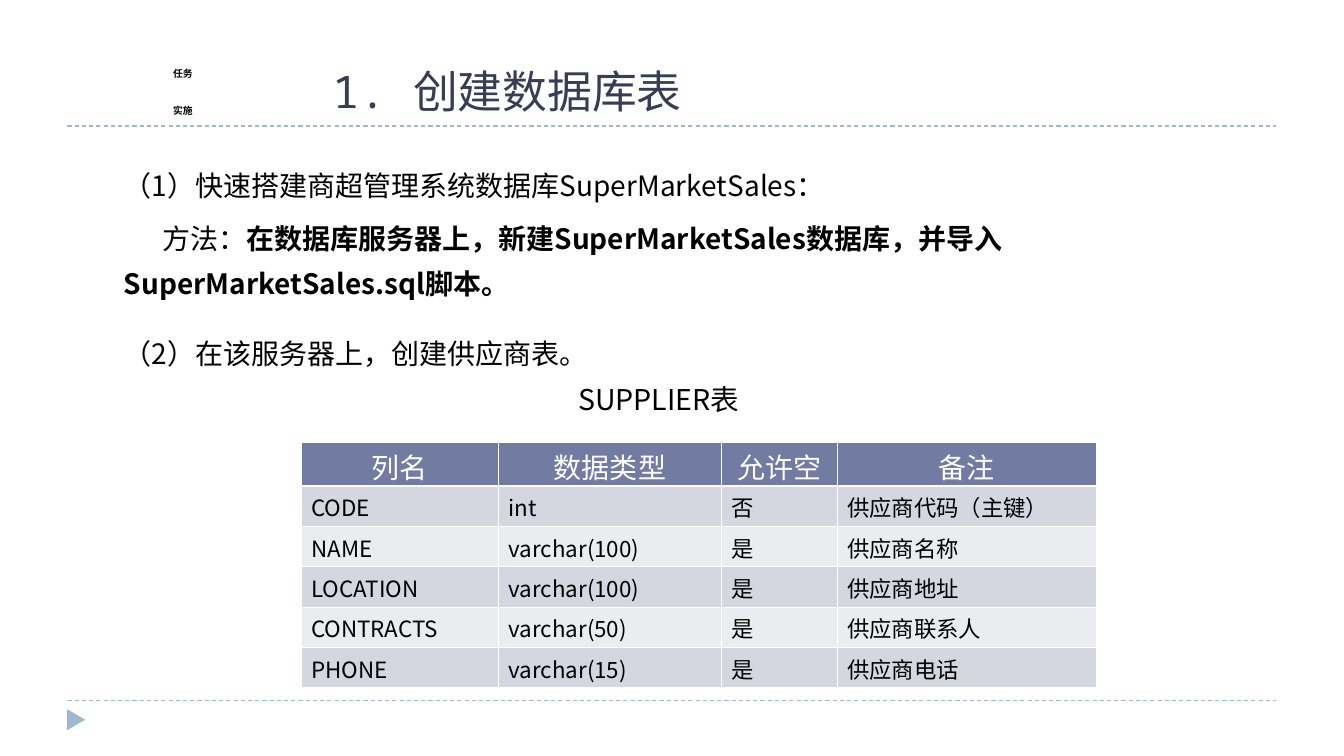
import pptx
import pptx.chart.data
import pptx.dml.color
import pptx.enum.dml
import pptx.enum.shapes
import pptx.enum.text
import pptx.oxml
import pptx.oxml.ns
import pptx.util
from dataclasses import dataclass

Inches, Pt = pptx.util.Inches, pptx.util.Pt
ANCHOR = pptx.enum.text.MSO_ANCHOR
ALIGN = pptx.enum.text.PP_ALIGN

TITLE = "1. 创建数据库表"
TASK_LABEL = ["任务", "实施"]
# Each step: space before (pt), first-line indent (in), [(text, bold), ...]
STEPS = [
    (0, 0, [("（1）快速搭建商超管理系统数据库SuperMarketSales：", False)]),
    (6, 0.38, [("方法：", False),
               ("在数据库服务器上，新建SuperMarketSales数据库，"
                "并导入SuperMarketSales.sql脚本。", True)]),
    (18, 0, [("（2）在该服务器上，创建供应商表。", False)]),
]
CAPTION = "SUPPLIER表"
SUPPLIER_COLUMNS = [("列名", 1.96), ("数据类型", 2.21), ("允许空", 1.15), ("备注", 2.57)]
SUPPLIER_ROWS = [
    ("CODE", "int", "否", "供应商代码（主键）"),
    ("NAME", "varchar(100)", "是", "供应商名称"),
    ("LOCATION", "varchar(100)", "是", "供应商地址"),
    ("CONTRACTS", "varchar(50)", "是", "供应商联系人"),
    ("PHONE", "varchar(15)", "是", "供应商电话"),
]
HEADER_HEIGHT, ROW_HEIGHT = 0.43, 0.4
RULE_LEFT, RULE_RIGHT, RULE_HEIGHTS = 0.67, 12.67, (1.25, 6.95)


@dataclass(frozen=True)
class Theme:
    ink: str = "000000"
    title: str = "373D54"
    accent: str = "9FB8CD"
    header: str = "727CA3"
    bands: tuple = ("D5D7E0", "EBECF0")
    white: str = "FFFFFF"
    font: str = "Noto Sans CJK SC"
    title_font: str = "Noto Sans Mono"
    label_font: str = "Noto Sans CJK JP"
    title_size: float = 32
    body_size: float = 20
    caption_size: float = 20.4
    cell_size: float = 16
    label_size: float = 7
    thin: float = 0.45
    thick: float = 1.47


THEME = Theme()


def rgb(color):
    return pptx.dml.color.RGBColor.from_string(color)


def style(run, size, color=THEME.ink, font=THEME.font, east_asian=THEME.font, bold=False):
    run.font.size = Pt(size)
    run.font.bold = bold
    run.font.color.rgb = rgb(color)
    run.font.name = font
    ea = pptx.oxml.parse_xml(
        f'<a:ea {pptx.oxml.ns.nsdecls("a")} typeface="{east_asian}"/>')
    run.font._element.find(pptx.oxml.ns.qn("a:latin")).addnext(ea)


def add_box(slide, left, top, width, height, anchor=ANCHOR.TOP):
    box = slide.shapes.add_textbox(*map(Inches, (left, top, width, height)))
    box.text_frame.word_wrap = True
    box.text_frame.vertical_anchor = anchor
    return box.text_frame


def add_paragraph(frame, index):
    return frame.add_paragraph() if index else frame.paragraphs[0]


def add_frame_lines(slide):
    """Draw the dashed rules and the footer triangle."""
    for height in RULE_HEIGHTS:
        rule = slide.shapes.add_connector(
            pptx.enum.shapes.MSO_CONNECTOR.STRAIGHT,
            *map(Inches, (RULE_LEFT, height, RULE_RIGHT, height)))
        rule.line.color.rgb = rgb(THEME.accent)
        rule.line.width = Pt(0.75)
        rule.line.dash_style = pptx.enum.dml.MSO_LINE.DASH
        rule._element.spPr.append(pptx.oxml.parse_xml(
            f'<a:effectLst {pptx.oxml.ns.nsdecls("a")}/>'))
    marker = slide.shapes.add_shape(
        pptx.enum.shapes.MSO_SHAPE.ISOSCELES_TRIANGLE,
        *map(Inches, (0.65, 7.05, 0.21, 0.18)))
    marker.rotation = 90
    marker.shadow.inherit = False
    marker.fill.solid()
    marker.fill.fore_color.rgb = rgb(THEME.accent)
    marker.line.fill.background()


def add_headings(slide):
    title = add_box(slide, 3.2, 0.58, 4.88, 0.64)
    title.text = TITLE
    style(title.paragraphs[0].runs[0], THEME.title_size, THEME.title, THEME.title_font)
    label = add_box(slide, 1.62, 0.55, 1.46, 0.65, ANCHOR.BOTTOM)
    for index, word in enumerate(TASK_LABEL):
        line = add_paragraph(label, index)
        line.text = word
        line.line_spacing = Pt(26)
        style(line.runs[0], THEME.label_size, font=THEME.label_font,
              east_asian=THEME.label_font, bold=True)


def add_steps(slide):
    frame = add_box(slide, 1.13, 1.51, 11.15, 2.59)
    for index, (before, indent, parts) in enumerate(STEPS):
        step = add_paragraph(frame, index)
        step.line_spacing = Pt(32)
        step.space_before = Pt(before)
        if indent:
            step._p.get_or_add_pPr().set("indent", str(Inches(indent)))
        for text, bold in parts:
            run = step.add_run()
            run.text = text
            style(run, THEME.body_size, bold=bold)


def set_borders(cell, widths):
    """Give the cell white borders; widths maps each side to points."""
    properties = cell._tc.get_or_add_tcPr()
    for position, (side, width) in enumerate(widths.items()):
        properties.insert(position, pptx.oxml.parse_xml(
            f'<a:{side} {pptx.oxml.ns.nsdecls("a")} w="{Pt(width)}"><a:solidFill>'
            f'<a:srgbClr val="{THEME.white}"/></a:solidFill></a:{side}>'))


def add_supplier_table(slide):
    caption = add_box(slide, 5.64, 3.78, 2.79, 0.46)
    caption.text = CAPTION
    caption.paragraphs[0].line_spacing = 0.9
    style(caption.paragraphs[0].runs[0], THEME.caption_size)

    names, widths = zip(*SUPPLIER_COLUMNS)
    rows = [names, *SUPPLIER_ROWS]
    heights = [HEADER_HEIGHT] + [ROW_HEIGHT] * len(SUPPLIER_ROWS)
    table = slide.shapes.add_table(
        len(rows), len(names),
        *map(Inches, (2.99, 4.39, sum(widths), sum(heights)))).table
    for column, width in zip(table.columns, widths):
        column.width = Inches(width)
    for r, (values, height) in enumerate(zip(rows, heights)):
        table.rows[r].height = Inches(height)
        is_header = r == 0
        for c, value in enumerate(values):
            cell = table.cell(r, c)
            cell.text = value
            cell.margin_top = Inches(0.03 if is_header else 0.05)
            cell.margin_bottom = 0
            cell.fill.solid()
            cell.fill.fore_color.rgb = rgb(
                THEME.header if is_header else THEME.bands[(r - 1) % 2])
            paragraph = cell.text_frame.paragraphs[0]
            paragraph.alignment = ALIGN.CENTER if is_header else ALIGN.LEFT
            style(paragraph.runs[0], THEME.body_size if is_header else THEME.cell_size,
                  THEME.white if is_header else THEME.ink)
            set_borders(cell, {
                "lnL": THEME.thin, "lnR": THEME.thin,
                "lnT": THEME.thick if r == 1 else THEME.thin,
                "lnB": THEME.thick if is_header else THEME.thin})


def main():
    deck = pptx.Presentation()
    deck.slide_width, deck.slide_height = Inches(13.34), Inches(7.5)
    slide = deck.slides.add_slide(deck.slide_layouts[6])
    add_frame_lines(slide)
    add_headings(slide)
    add_steps(slide)
    add_supplier_table(slide)
    deck.save("out.pptx")


if __name__ == "__main__":
    main()
